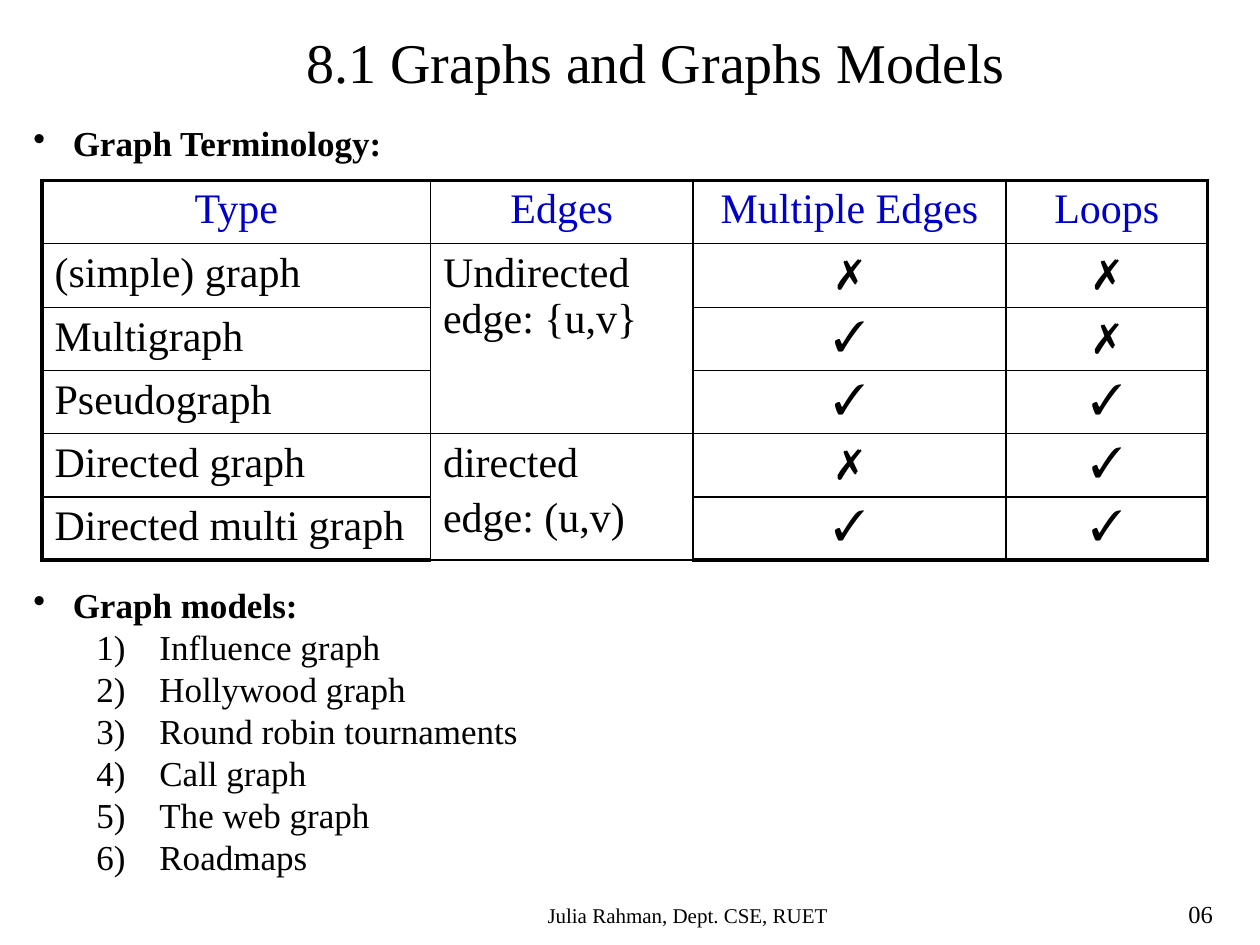
from dataclasses import dataclass

from lxml import etree
from pptx import Presentation
from pptx.dml.color import RGBColor
from pptx.enum.text import MSO_AUTO_SIZE, PP_ALIGN
from pptx.oxml.ns import qn
from pptx.util import Pt

LEFT, CENTER = PP_ALIGN.LEFT, PP_ALIGN.CENTER
FIT_SHAPE = MSO_AUTO_SIZE.SHAPE_TO_FIT_TEXT


@dataclass(frozen=True)
class Theme:
    font: str = "Times New Roman"
    ink: RGBColor = RGBColor(0, 0, 0)
    heading: RGBColor = RGBColor(0, 0, 0xCC)
    title: int = 32
    table: int = 24
    body: int = 20
    number: int = 14
    footer: int = 12
    outer_line: float = 2.25
    inner_line: float = 1


THEME = Theme()
YES, NO = "✓", "✗"
UNDIRECTED = ["Undirected edge: {u,v}"]
DIRECTED = ["directed", "edge: (u,v)"]
HEADERS = ["Type", "Edges", "Multiple Edges", "Loops"]
GRAPH_TYPES = [
    ("(simple) graph", UNDIRECTED, NO, NO),
    ("Multigraph", None, YES, NO),
    ("Pseudograph", None, YES, YES),
    ("Directed graph", DIRECTED, NO, YES),
    ("Directed multi graph", None, YES, YES),
]
EDGE_SPANS = [(1, 3), (4, 5)]
COLUMN_WIDTHS = [222, 150, 179, 115]
ROW_HEIGHTS = [34.5, 36.75, 36, 36, 36, 33.75]
MODELS = ["Influence graph", "Hollywood graph", "Round robin tournaments",
          "Call graph", "The web graph", "Roadmaps"]
BODY_LINE = 24
TABLE_GAP = 10 * BODY_LINE


def add_run(paragraph, text, size, color=THEME.ink, bold=False):
    run = paragraph.add_run()
    run.text = text
    run.font.name = THEME.font
    run.font.size = Pt(size)
    run.font.bold = bold
    run.font.color.rgb = color


def add_text_frame(slide, left, top, width, height, wrap=True):
    box = slide.shapes.add_textbox(Pt(left), Pt(top), Pt(width), Pt(height))
    frame = box.text_frame
    frame.word_wrap = wrap
    frame.auto_size = FIT_SHAPE
    return frame


def add_label(slide, text, size, bounds, align=LEFT, wrap=True):
    paragraph = add_text_frame(slide, *bounds, wrap=wrap).paragraphs[0]
    paragraph.alignment = align
    add_run(paragraph, text, size)


def set_marker(paragraph, tag, margin, hanging, **attributes):
    properties = paragraph._p.get_or_add_pPr()
    properties.set("marL", str(Pt(margin)))
    properties.set("indent", str(-Pt(hanging)))
    etree.SubElement(properties, qn(tag), **attributes)


def add_topic(paragraph, text):
    set_marker(paragraph, "a:buChar", 22.5, 22.5, char="•")
    paragraph.line_spacing = Pt(BODY_LINE)
    add_run(paragraph, text, THEME.body, bold=True)


def add_model(paragraph, text):
    set_marker(paragraph, "a:buAutoNum", 72, 36, type="arabicParenR")
    paragraph.level = 1
    paragraph.line_spacing = Pt(BODY_LINE)
    add_run(paragraph, text, THEME.body)


def add_outline(slide):
    frame = add_text_frame(slide, 12, 66, 696, 443.5)
    add_topic(frame.paragraphs[0], "Graph Terminology:")
    models_topic = frame.add_paragraph()
    add_topic(models_topic, "Graph models:")
    models_topic.space_before = Pt(TABLE_GAP)
    for model in MODELS:
        add_model(frame.add_paragraph(), model)


def set_border(cell, side, width):
    line = etree.SubElement(cell._tc.get_or_add_tcPr(), qn(f"a:ln{side}"),
                            w=str(Pt(width)))
    fill = etree.SubElement(line, qn("a:solidFill"))
    etree.SubElement(fill, qn("a:srgbClr"), val=str(THEME.ink))


def style_cell(cell, row, column):
    outer_sides = {
        "L": column == 0,
        "R": column == len(COLUMN_WIDTHS) - 1,
        "T": row == 0,
        "B": row == len(ROW_HEIGHTS) - 1,
    }
    for side, is_outer in outer_sides.items():
        set_border(cell, side,
                   THEME.outer_line if is_outer else THEME.inner_line)
    cell.fill.background()


def fill_cell(cell, lines, align, color):
    frame = cell.text_frame
    for index, line in enumerate(lines):
        paragraph = frame.add_paragraph() if index else frame.paragraphs[0]
        if index:
            paragraph.space_before = Pt(0.2 * THEME.table)
        paragraph.alignment = align
        add_run(paragraph, line, THEME.table, color)


def add_terminology_table(slide):
    table = slide.shapes.add_table(
        len(ROW_HEIGHTS), len(COLUMN_WIDTHS), Pt(24), Pt(103),
        Pt(sum(COLUMN_WIDTHS)), Pt(sum(ROW_HEIGHTS))).table
    table.first_row = False
    table.horz_banding = False
    for column, width in zip(table.columns, COLUMN_WIDTHS):
        column.width = Pt(width)
    for row, height in zip(table.rows, ROW_HEIGHTS):
        row.height = Pt(height)
    for first, last in EDGE_SPANS:
        table.cell(first, 1).merge(table.cell(last, 1))
    for row, entries in enumerate([HEADERS, *GRAPH_TYPES]):
        for column, entry in enumerate(entries):
            cell = table.cell(row, column)
            style_cell(cell, row, column)
            if entry is None:
                continue
            lines = [entry] if isinstance(entry, str) else entry
            align = CENTER if row == 0 or column > 1 else LEFT
            color = THEME.heading if row == 0 else THEME.ink
            fill_cell(cell, lines, align, color)


def main():
    deck = Presentation()
    deck.slide_width, deck.slide_height = Pt(720), Pt(540)
    slide = deck.slides.add_slide(deck.slide_layouts[6])
    add_label(slide, "06", THEME.number, (672, 510, 48, 24))
    add_label(slide, "Julia Rahman, Dept. CSE, RUET", THEME.footer,
              (186, 512, 414, 21.6), align=CENTER)
    add_outline(slide)
    add_label(slide, "8.1 Graphs and Graphs Models", THEME.title,
              (168, 12, 417.6, 46), wrap=False)
    add_terminology_table(slide)
    deck.save("out.pptx")


if __name__ == "__main__":
    main()
